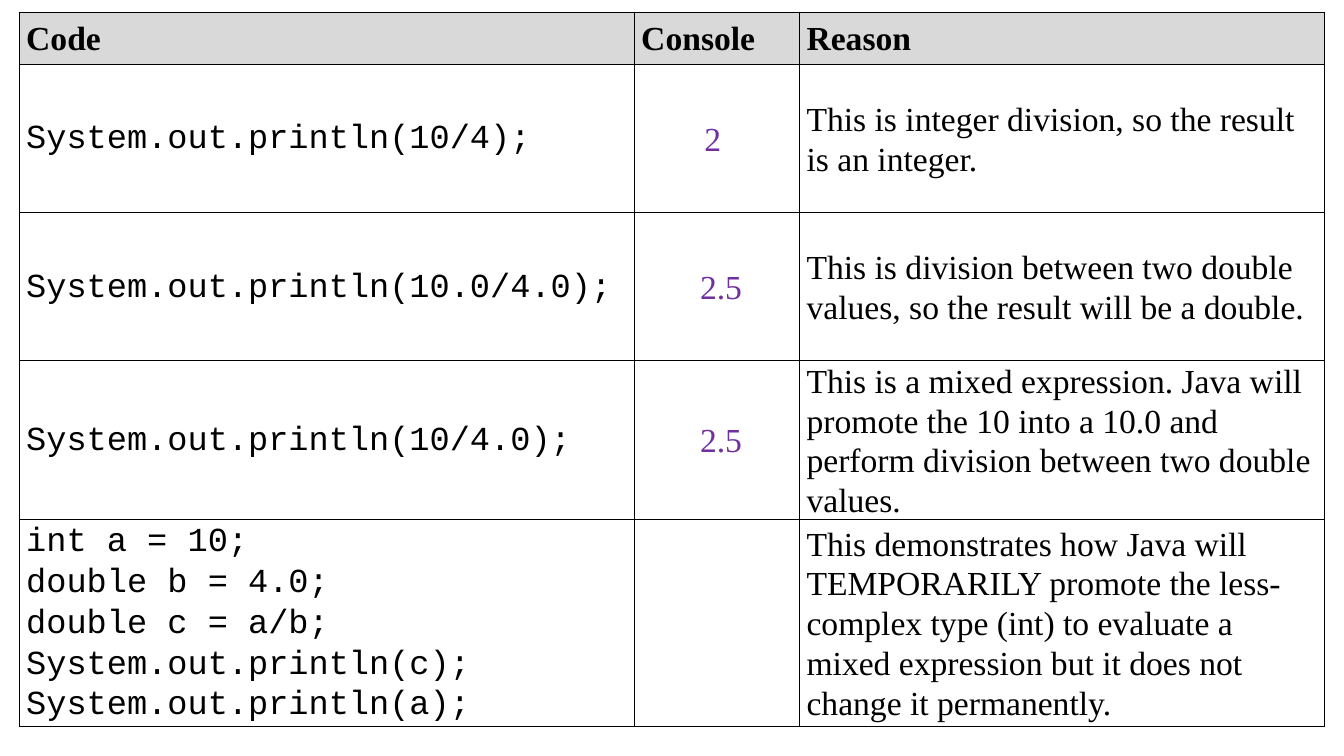
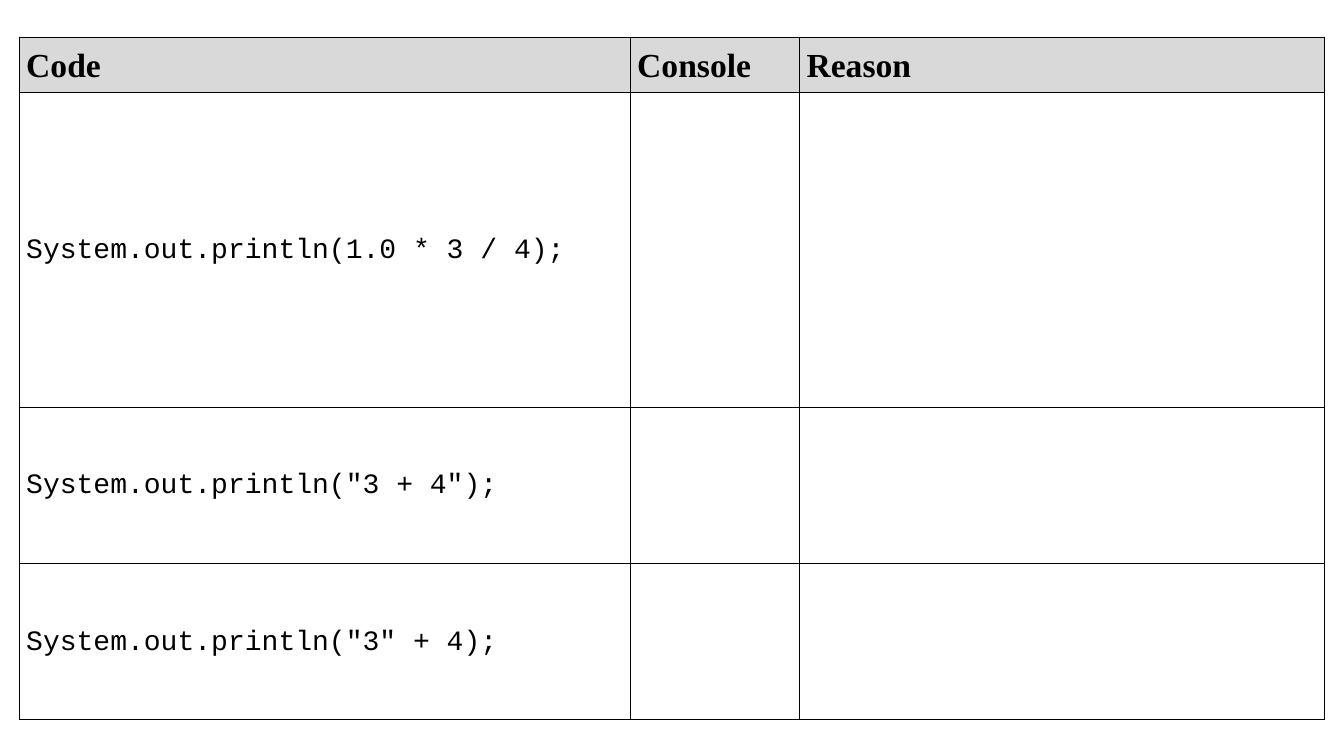
from lxml.etree import SubElement
from pptx import Presentation
from pptx.dml.color import RGBColor
from pptx.enum.text import MSO_ANCHOR as Anchor, PP_ALIGN as Align
from pptx.oxml.ns import qn
from pptx.util import Inches, Pt

BLACK, PURPLE, GREY = "000000", "7030A0", "D9D9D9"
SERIF, MONO = "Times New Roman", "Courier New"
HEADINGS = ("Code", "Console", "Reason")
COLUMN_FONTS = (MONO, SERIF, SERIF)
COLUMN_COLORS = (BLACK, PURPLE, BLACK)
COLUMN_ALIGNS = (Align.LEFT, Align.CENTER, Align.LEFT)
LEFT = 0.19


def rgb(color):
    return RGBColor.from_string(color)


def add_borders(cell):
    """Draw a thin black line on all four sides of a cell."""
    properties = cell._tc.get_or_add_tcPr()
    for side in ("lnL", "lnR", "lnT", "lnB"):
        line = SubElement(properties, qn(f"a:{side}"), w=str(Pt(1)))
        fill = SubElement(line, qn("a:solidFill"))
        SubElement(fill, qn("a:srgbClr"), val=BLACK)


division_rows = [
    ("System.out.println(10/4);", "2 ",
     "This is integer division, so the result is an integer."),
    ("System.out.println(10.0/4.0);", " 2.5",
     "This is division between two double values, so the result will be a double."),
    ("System.out.println(10/4.0);", " 2.5",
     "This is a mixed expression. Java will promote the 10 into a 10.0 and "
     "perform division between two double values."),
    ("int a = 10;\ndouble b = 4.0;\ndouble c = a/b;\n"
     "System.out.println(c);\nSystem.out.println(a);", "",
     "This demonstrates how Java will TEMPORARILY promote the less-complex type (int) "
     "to evaluate a mixed expression but it does not change it permanently."),
]
practice_rows = [
    ("System.out.println(1.0 * 3 / 4);", "", ""),
    ('System.out.println("3 + 4");', "", ""),
    ('System.out.println("3" + 4);', "", ""),
]

# top, column widths, row heights, body text size, body rows
tables = [
    (0.12, (6.1, 1.64, 5.21), (0.52, 1.47, 1.47, 1.47, 2.05), 24, division_rows),
    (0.37, (6.06, 1.68, 5.21), (0.55, 3.12, 1.55, 1.55), 20, practice_rows),
]

deck = Presentation()
deck.slide_width, deck.slide_height = Inches(13.33), Inches(7.5)

for top, widths, heights, body_size, body_rows in tables:
    page = deck.slides.add_slide(deck.slide_layouts[6])
    table = page.shapes.add_table(
        len(heights), len(widths), Inches(LEFT), Inches(top),
        Inches(sum(widths)), Inches(sum(heights))).table
    table.horz_banding = False
    for column, width in zip(table.columns, widths):
        column.width = Inches(width)
    for row, height in zip(table.rows, heights):
        row.height = Inches(height)

    for row_index, texts in enumerate([HEADINGS, *body_rows]):
        is_header = row_index == 0
        for column_index, text in enumerate(texts):
            cell = table.cell(row_index, column_index)
            cell.vertical_anchor = Anchor.MIDDLE
            cell.margin_left = cell.margin_right = Inches(0.07)
            cell.margin_top = cell.margin_bottom = 0
            add_borders(cell)
            if is_header:
                cell.fill.solid()
                cell.fill.fore_color.rgb = rgb(GREY)
            else:
                cell.fill.background()
            if not text:
                continue
            frame = cell.text_frame
            for line_index, line in enumerate(text.split("\n")):
                para = frame.add_paragraph() if line_index else frame.paragraphs[0]
                para.line_spacing = 1.07
                para.alignment = Align.LEFT if is_header else COLUMN_ALIGNS[column_index]
                span = para.add_run()
                span.text = line
                span.font.size = Pt(24 if is_header else body_size)
                span.font.bold = is_header
                span.font.name = SERIF if is_header else COLUMN_FONTS[column_index]
                span.font.color.rgb = rgb(BLACK if is_header else COLUMN_COLORS[column_index])

deck.save("out.pptx")
